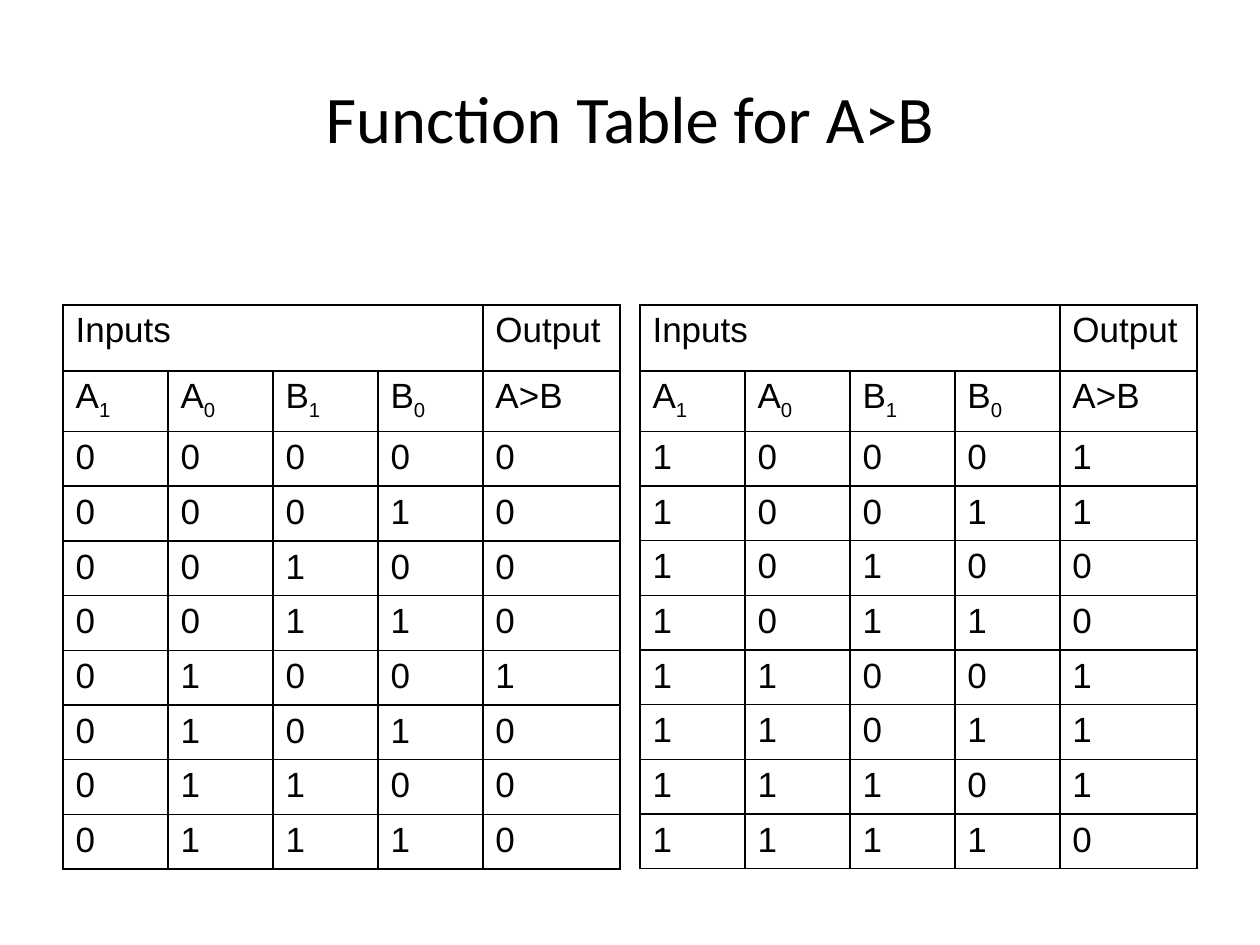
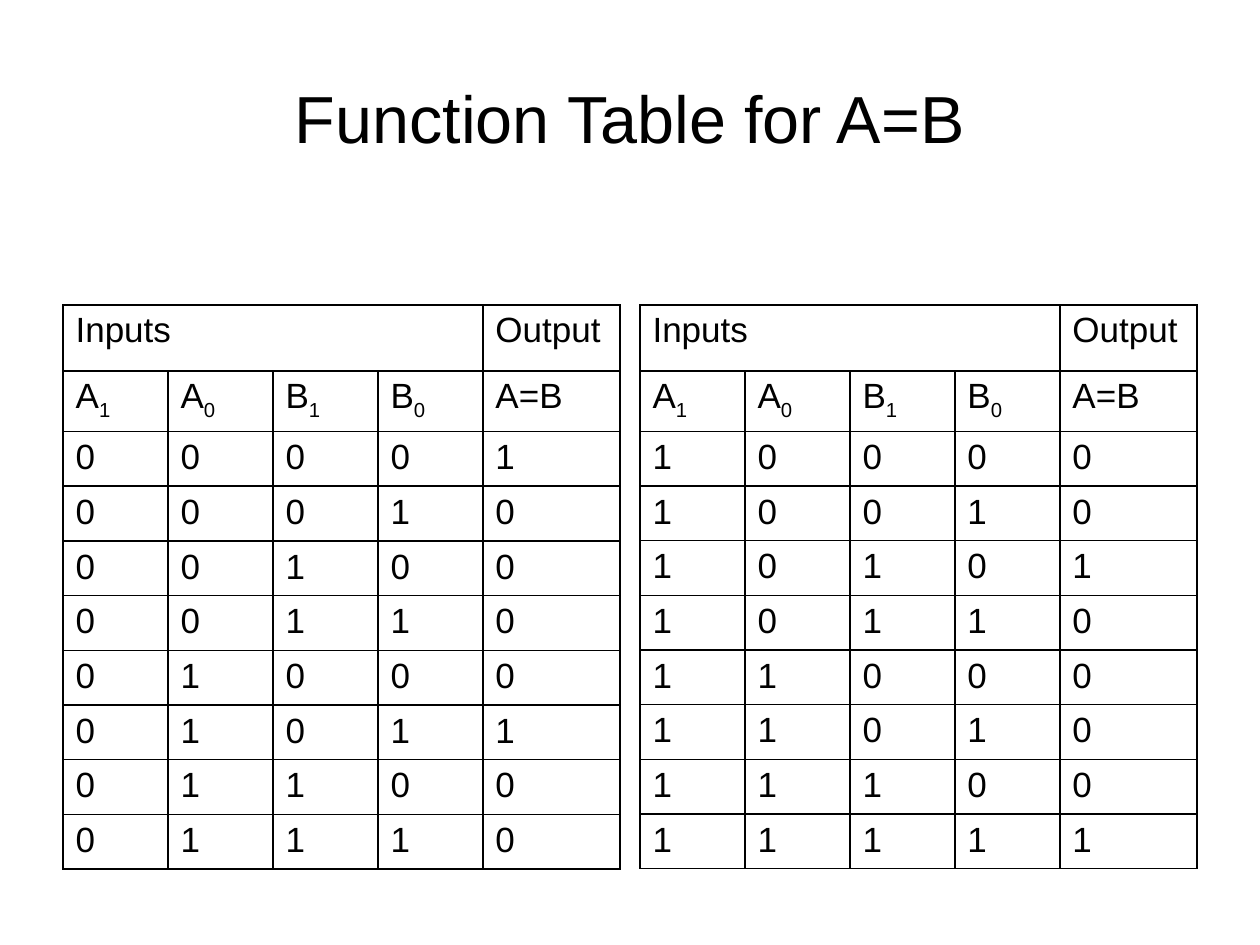
from dataclasses import dataclass
from itertools import product

from lxml import etree
from pptx import Presentation
from pptx import util as u
from pptx.dml.color import RGBColor
from pptx.enum import text
from pptx.oxml import ns

PX = u.Inches(1) // 126


@dataclass(frozen=True)
class Theme:
    ink: str = "000000"
    font: str = "Arial"
    title_size: int = 38
    cell_size: int = 20
    border: int = 1


theme = Theme()


def style(para, align, font, size):
    para.alignment = align
    para.font.name = font
    para.font.size = u.Pt(size)
    para.font.color.rgb = RGBColor.from_string(theme.ink)


def outline(cell):
    """Rule all four sides of a cell and leave it unfilled."""
    cell_props = cell._tc.get_or_add_tcPr()
    for side in ("lnL", "lnR", "lnT", "lnB"):
        line = etree.SubElement(cell_props, ns.qn(f"a:{side}"), w=str(u.Pt(theme.border)))
        fill = etree.SubElement(line, ns.qn("a:solidFill"))
        etree.SubElement(fill, ns.qn("a:srgbClr"), val=theme.ink)
    cell.fill.background()


INPUTS = (("A", "1"), ("A", "0"), ("B", "1"), ("B", "0"))
COLUMN_WIDTHS = (105, 105, 105, 105, 137)
TABLE_TOP = 305
HANGING_INDENT = 48

# Each half lists the rows for one value of A1: left, height, row heights, indent
HALVES = (
    (63, 559, (66, 33, 33, 55, 33, 33, 33, 33, 33, 33), HANGING_INDENT),
    (640, 557, (66, 33, 33, 33, 33, 33, 33, 33, 33, 33), 0),
)

# Output label, title font, test on the two-bit numbers A and B
COMPARISONS = (
    ("A>B", "Calibri", lambda a, b: a > b),
    ("A=B", "Arial", lambda a, b: a == b),
)

deck = Presentation()
deck.slide_width = 1260 * PX
deck.slide_height = 945 * PX

for label, title_font, compare in COMPARISONS:
    page = deck.slides.add_slide(deck.slide_layouts[6])

    title = page.shapes.add_textbox(63 * PX, 38 * PX, 1134 * PX, 157 * PX).text_frame
    title.word_wrap = True
    title.vertical_anchor = text.MSO_ANCHOR.MIDDLE
    title.text = f"Function Table for {label}"
    style(title.paragraphs[0], text.PP_ALIGN.CENTER, title_font, theme.title_size)

    for a1, (left, height, row_heights, indent) in enumerate(HALVES):
        rows = [[("Inputs",), ("",), ("",), ("",), ("Output",)], [*INPUTS, (label,)]]
        for a0, b1, b0 in product((0, 1), repeat=3):
            output = int(compare((a1, a0), (b1, b0)))
            rows.append([(str(bit),) for bit in (a1, a0, b1, b0, output)])

        frame = page.shapes.add_table(
            len(rows), len(COLUMN_WIDTHS),
            left * PX, TABLE_TOP * PX, sum(COLUMN_WIDTHS) * PX, height * PX)
        table = frame.table
        table.first_row = False
        table.horz_banding = False
        for column, width in zip(table.columns, COLUMN_WIDTHS):
            column.width = width * PX
        for row, row_height in zip(table.rows, row_heights):
            row.height = row_height * PX
        frame.height = height * PX
        table.cell(0, 0).merge(table.cell(0, 3))

        for row, entries in zip(table.rows, rows):
            for cell, (name, *subscript) in zip(row.cells, entries):
                outline(cell)
                if not name:
                    continue
                para = cell.text_frame.paragraphs[0]
                para.add_run().text = name
                for digit in subscript:
                    span = para.add_run()
                    span.text = digit
                    span._r.get_or_add_rPr().set("baseline", "-25000")
                style(para, text.PP_ALIGN.JUSTIFY, theme.font, theme.cell_size)
                if indent:
                    para_props = para._p.get_or_add_pPr()
                    para_props.set("marL", str(indent * PX))
                    para_props.set("indent", str(-indent * PX))

deck.save("out.pptx")
